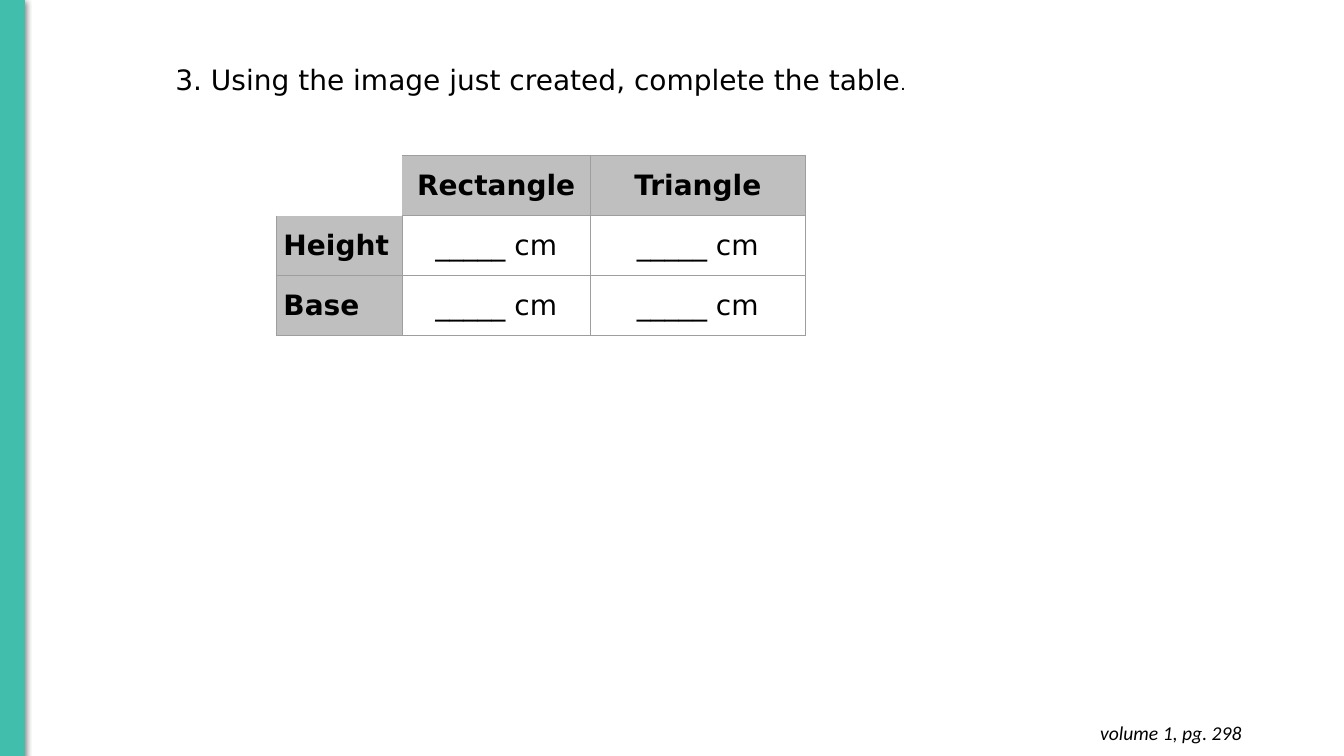
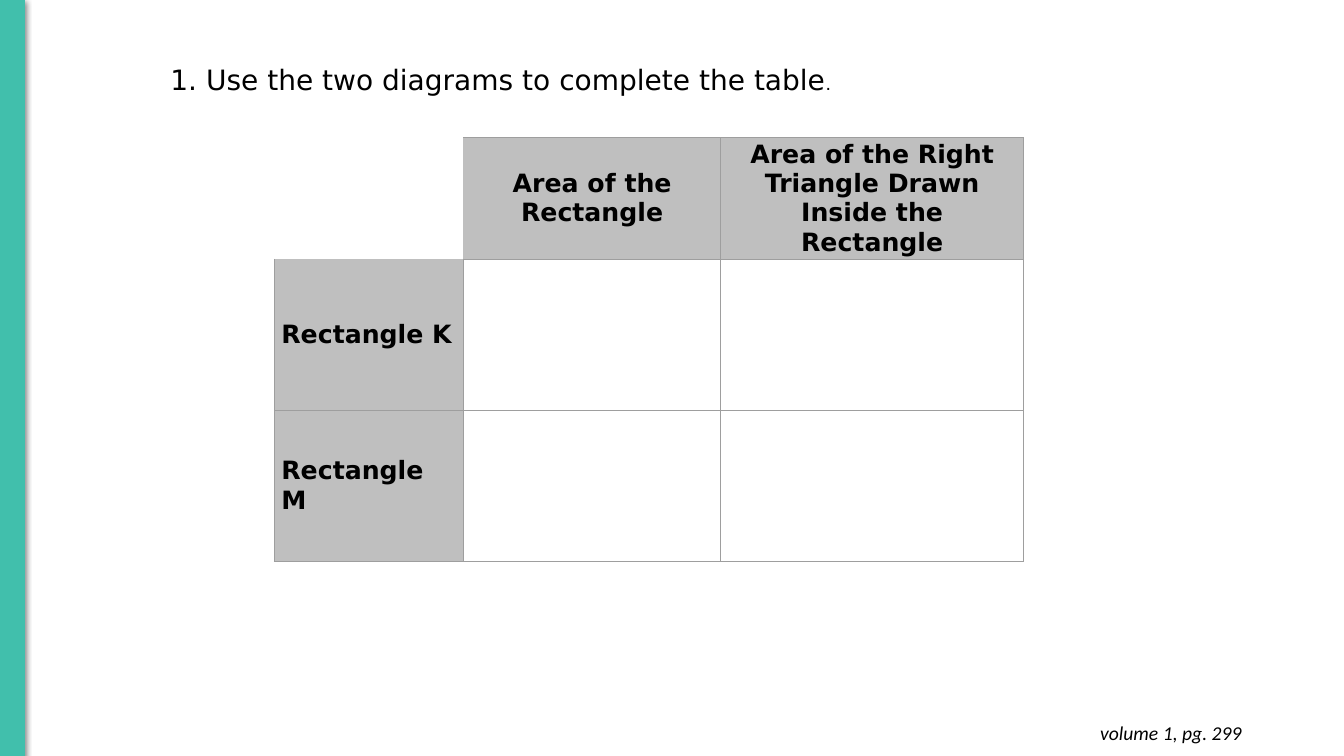
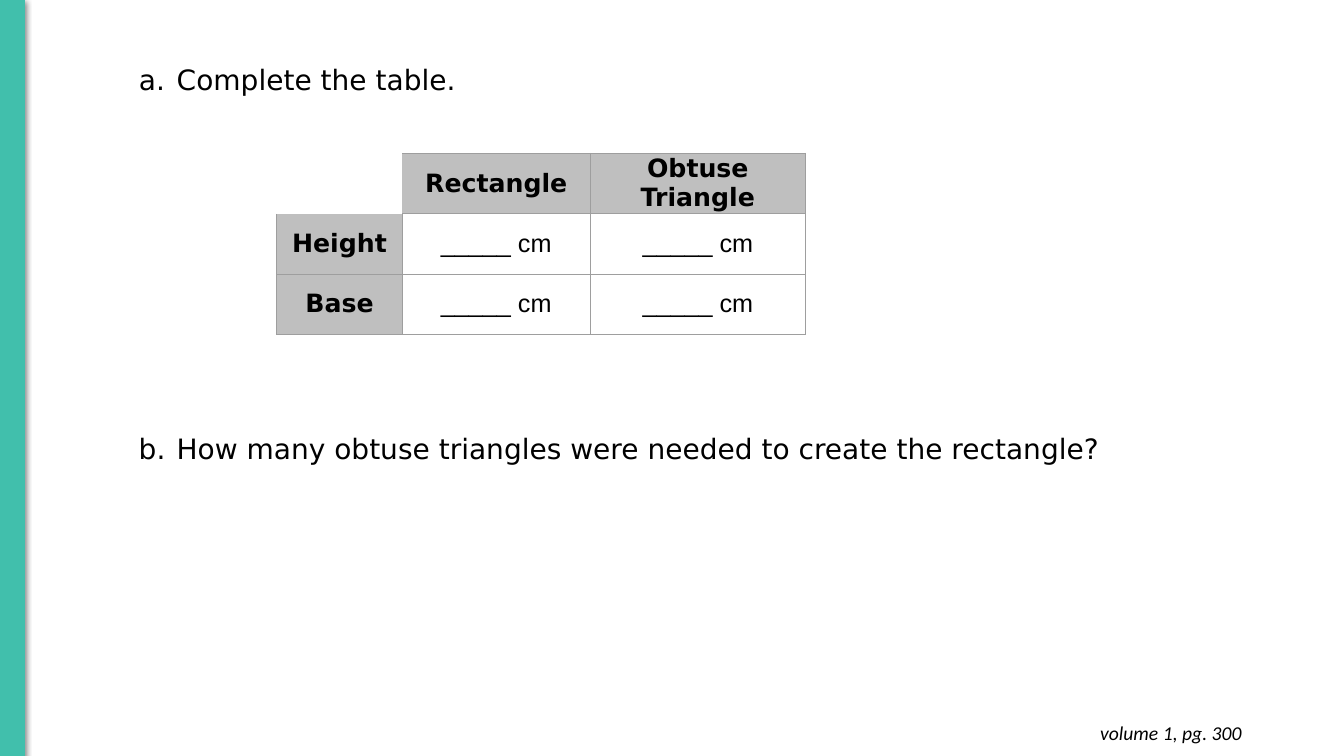
from dataclasses import dataclass

from lxml.etree import SubElement
from pptx import Presentation
from pptx.dml.color import RGBColor
from pptx.enum.shapes import MSO_SHAPE
from pptx.enum.text import MSO_ANCHOR, MSO_AUTO_SIZE, PP_ALIGN
from pptx.oxml.ns import qn
from pptx.util import Pt


@dataclass(frozen=True)
class Theme:
    """Hold the colours, fonts and type sizes of the deck."""
    teal: str = "41BFAC"
    grey: str = "BFBFBF"
    rule: str = "9E9E9E"
    ink: str = "000000"
    main: str = "DejaVu Sans"
    plain: str = "Arial"
    note: str = "Calibri"
    big: int = 20
    mid: int = 18
    small: int = 14
    line: float = 0.75


THEME = Theme()
SIDES = "left", "right", "top", "bottom"
NO_STYLE = "{2D5ABB26-0587-4C30-8999-92F81FD0307C}"
BLANK = "_____ cm"


def put(item, values):
    """Set each named value on an object."""
    for name, value in values.items():
        setattr(item, name, value)


def inset(item, side, top):
    """Set the side and top margins of a cell or text frame."""
    for edge, size in zip(SIDES, (side, side, top, top)):
        setattr(item, f"margin_{edge}", Pt(size))


def node(base, tag, **attrs):
    """Add an XML child with its attributes."""
    return SubElement(base, qn(f"a:{tag}"), {k: str(v) for k, v in attrs.items()})


def write(para, text, size, name=THEME.main, **style):
    """Add a run of black text to a paragraph."""
    run = para.add_run()
    run.text = text
    put(run.font, {"size": Pt(size), "name": name, **style})
    run.font.color.rgb = RGBColor.from_string(THEME.ink)


def letter(para, start):
    """Number a paragraph with a hanging letter."""
    props = para._p.get_or_add_pPr()
    props.set("marL", str(Pt(27)))
    props.set("indent", str(-Pt(27)))
    node(node(props, "buClr"), "srgbClr", val=THEME.ink)
    node(props, "buFont", typeface=THEME.main)
    node(props, "buAutoNum", type="alphaLcPeriod", startAt=start)


def prompt(shape, left, top, text, start=0, dot=False):
    """Place and fill a question line."""
    put(shape, {"left": Pt(left), "top": Pt(top), "width": Pt(814 - left), "height": Pt(32)})
    frame = shape.text_frame
    put(frame, {"word_wrap": True, "auto_size": MSO_AUTO_SIZE.NONE,
                "vertical_anchor": MSO_ANCHOR.TOP})
    inset(frame, 7.2, 3.6)
    para = frame.paragraphs[0]
    if start:
        letter(para, start)
    para.alignment = PP_ALIGN.LEFT
    write(para, text, THEME.big)
    if dot:
        write(para, ".", THEME.small, THEME.plain)


def band(slide):
    """Draw the teal band on the left edge."""
    shape = slide.shapes.add_shape(MSO_SHAPE.RECTANGLE, 0, 0, Pt(17.5), Pt(540))
    shape.fill.solid()
    shape.line.width = Pt(THEME.line)
    for part in shape.fill.fore_color, shape.line.color:
        part.rgb = RGBColor.from_string(THEME.teal)
    shape.shadow.inherit = False
    glow = node(shape._element.spPr.find(qn("a:effectLst")), "outerShdw",
                blurRad=Pt(4.5), dist=Pt(1.5), dir=5400000, rotWithShape=0)
    node(node(glow, "srgbClr", val=THEME.ink), "alpha", val=50000)


def foot(slide, page):
    """Write the page reference at the lower right."""
    frame = slide.shapes.add_textbox(Pt(687), Pt(508), Pt(207), Pt(32)).text_frame
    frame.word_wrap = True
    inset(frame, 7.2, 7.2)
    para = frame.paragraphs[0]
    para.alignment = PP_ALIGN.RIGHT
    write(para, f"volume 1, pg. {page}", THEME.small, THEME.note, italic=True)


def edge(cell, row, col):
    """Rule a cell, leaving the top left corner open."""
    props = cell._tc.get_or_add_tcPr()
    corner = row + col == 0
    bare = {"L": (row, col) == (0, 1), "R": False, "T": (row, col) == (1, 0), "B": False}
    for side, skip in bare.items():
        line = node(props, f"ln{side}", w=Pt(THEME.line))
        if corner or skip:
            node(line, "noFill")
        else:
            node(node(line, "solidFill"), "srgbClr", val=THEME.rule)


def grid(slide, left, top, cols, rows, cells, size, font=THEME.main, side=PP_ALIGN.LEFT):
    """Add a table with grey headings and an open corner."""
    table = slide.shapes.add_table(len(rows), len(cols), Pt(left), Pt(top),
                                   Pt(sum(cols)), Pt(sum(rows))).table
    put(table, {"first_row": False, "horz_banding": False})
    table._tbl.tblPr[0].text = NO_STYLE
    for col, width in zip(table.columns, cols):
        col.width = Pt(width)
    for row, height in zip(table.rows, rows):
        row.height = Pt(height)
    for y, texts in enumerate(cells):
        for x, text in enumerate(texts):
            cell = table.cell(y, x)
            head = (x == 0) != (y == 0)
            edge(cell, y, x)
            cell.vertical_anchor = MSO_ANCHOR.MIDDLE
            inset(cell, 5, 0)
            if head:
                cell.fill.solid()
                cell.fill.fore_color.rgb = RGBColor.from_string(THEME.grey)
            else:
                cell.fill.background()
            if text:
                para = cell.text_frame.paragraphs[0]
                para.alignment = PP_ALIGN.CENTER if x else side
                write(para, text, size, THEME.main if head else font, bold=head)


def page(deck, number, left, text, **style):
    """Add a slide with its question, band and page reference."""
    slide = deck.slides.add_slide(deck.slide_layouts[5])
    prompt(slide.shapes.title, left, 41, text, **style)
    band(slide)
    foot(slide, number)
    return slide


def sizes(second):
    """List the cells of a height and base table."""
    return [("", "Rectangle", second), ("Height", BLANK, BLANK), ("Base", BLANK, BLANK)]


def main():
    """Build and save the deck."""
    deck = Presentation()
    put(deck, {"slide_width": Pt(960), "slide_height": Pt(540)})
    cols, rows = (90, 134, 154), (43, 43, 43)

    slide = page(deck, 298, 118, "3. Using the image just created, complete the table", dot=True)
    grid(slide, 197.5, 111, cols, rows, sizes("Triangle"), THEME.big)

    slide = page(deck, 299, 114.5, "1. Use the two diagrams to complete the table", dot=True)
    areas = [("", "Area of the Rectangle",
              "Area of the Right Triangle Drawn Inside the Rectangle"),
             ("Rectangle K", "", ""), ("Rectangle M", "", "")]
    grid(slide, 196, 98.5, (135, 184, 216), (86.5, 108, 108), areas, THEME.mid)

    slide = page(deck, 300, 92, "Complete the table.", start=1)
    grid(slide, 197.5, 109.5, cols, rows, sizes("Obtuse Triangle"), THEME.mid,
         THEME.plain, PP_ALIGN.CENTER)
    prompt(slide.shapes.add_textbox(0, 0, 0, 0), 92, 305,
           "How many obtuse triangles were needed to create the rectangle?", start=2)

    deck.save("out.pptx")


if __name__ == "__main__":
    main()
